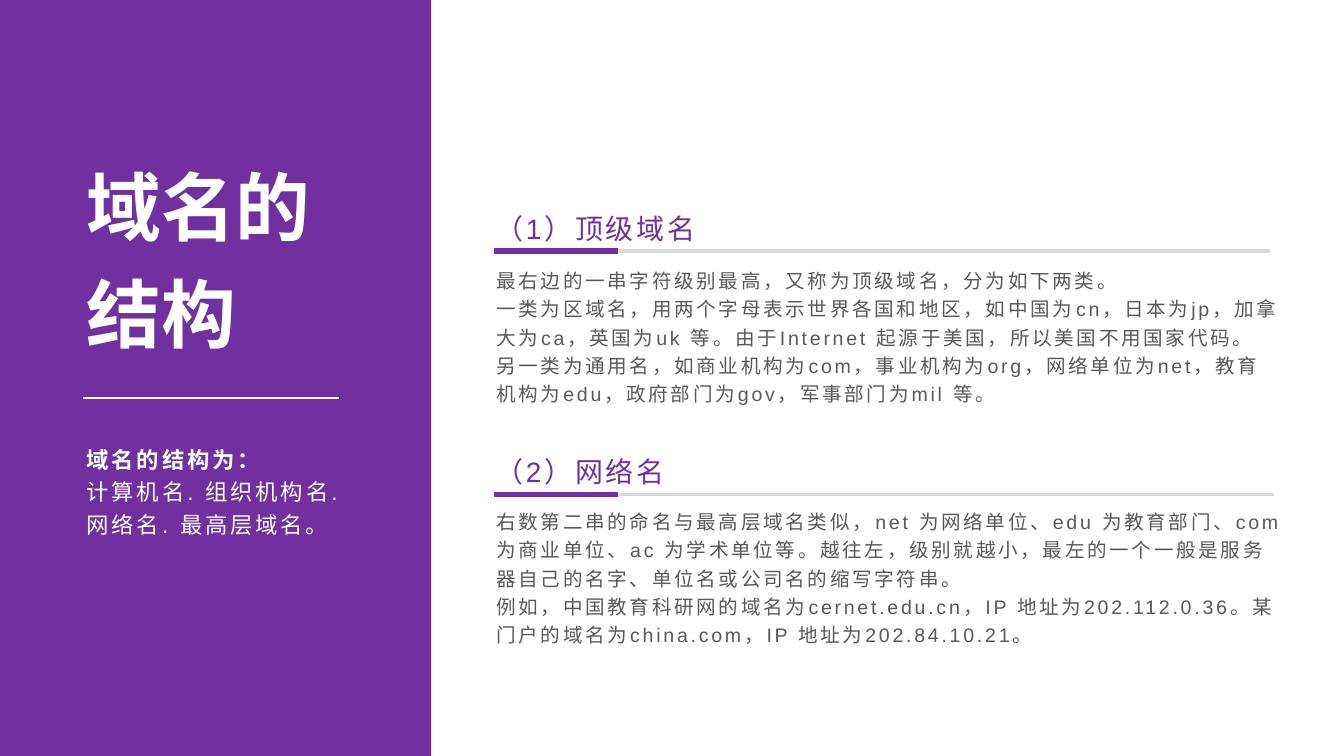
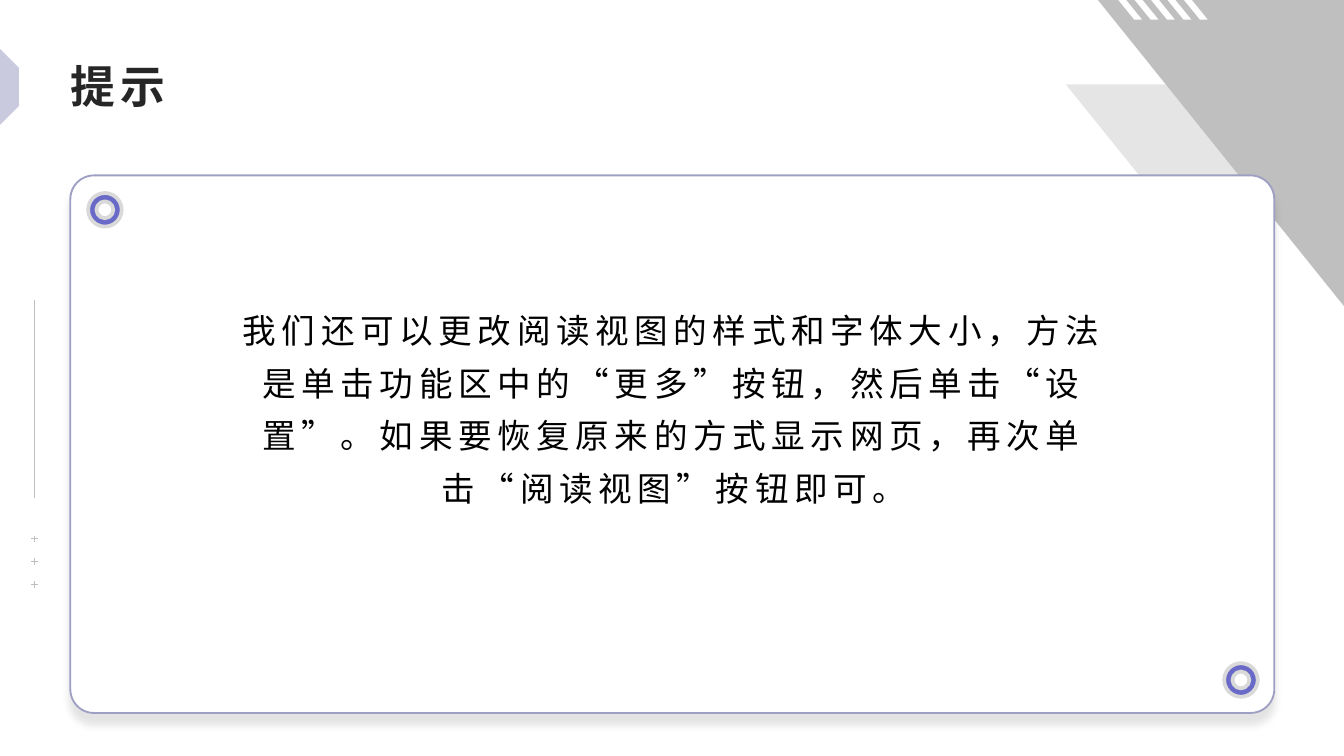
from lxml.etree import SubElement
from pptx import Presentation
from pptx.dml.color import RGBColor
from pptx.enum.shapes import MSO_CONNECTOR as Connector, MSO_SHAPE as Shape
from pptx.enum.text import MSO_ANCHOR as Anchor, MSO_AUTO_SIZE as AutoSize, PP_ALIGN as Align
from pptx.oxml.ns import qn
from pptx.util import Pt

PURPLE, WHITE, BODY_GREY = "7030A0", "FFFFFF", "595959"
RULE_GREY, DECOR_GREY = "D9D9D9", "BFBFBF"
LAVENDER, VIOLET, PALE_LAVENDER = "9F9FC3", "6969C7", "CACADE"
WIDTH, HEIGHT = 720, 405
LATIN_FONT, CJK_FONT = "Arial", "Noto Sans CJK SC"


def color(hex_code):
    """Turn a hex string into a colour."""
    return RGBColor.from_string(hex_code)


def write(frame, text, size=12, font=LATIN_FONT, ink=WHITE, bold=False,
          spacing=0, align=Align.LEFT, leading=1.2):
    """Add one formatted paragraph to a text frame."""
    paragraph = frame.paragraphs[0]
    if paragraph.runs:
        paragraph = frame.add_paragraph()
    paragraph.alignment = align
    paragraph.line_spacing = leading
    run = paragraph.add_run()
    run.text = text
    run.font.size = Pt(size)
    run.font.bold = bold
    run.font.name = font
    run.font.color.rgb = color(ink)
    properties = run.font._element
    SubElement(properties, qn("a:ea")).set("typeface", font)
    if spacing:
        properties.set("spc", str(round(spacing * 100)))


class Deck:
    """Hold the presentation style and the current slide."""

    def __init__(self):
        """Start an empty deck."""
        self.presentation = Presentation()
        self.presentation.slide_width = Pt(WIDTH)
        self.presentation.slide_height = Pt(HEIGHT)
        self.shapes = None

    def new_slide(self):
        """Add a blank white slide and make it current."""
        slide = self.presentation.slides.add_slide(self.presentation.slide_layouts[6])
        slide.background.fill.solid()
        slide.background.fill.fore_color.rgb = color(WHITE)
        self.shapes = slide.shapes

    def paint(self, shape, fill, line=None, weight=1):
        """Give a shape its fill and outline, without shadow."""
        shape.fill.solid()
        shape.fill.fore_color.rgb = color(fill)
        if line:
            shape.line.color.rgb = color(line)
            shape.line.width = Pt(weight)
        else:
            shape.line.fill.background()
        shape.shadow.inherit = False
        return shape

    def shape(self, kind, left, top, width, height, fill, line=None, weight=1):
        """Draw a preset shape."""
        shape = self.shapes.add_shape(kind, Pt(left), Pt(top), Pt(width), Pt(height))
        return self.paint(shape, fill, line, weight)

    def outline(self, points, fill, opacity=100):
        """Draw a closed polygon."""
        corners = [(Pt(x), Pt(y)) for x, y in points]
        builder = self.shapes.build_freeform(*corners[0])
        builder.add_line_segments(corners[1:], close=True)
        polygon = self.paint(builder.convert_to_shape(), fill)
        if opacity < 100:
            tint = polygon._element.spPr.find(f"{qn('a:solidFill')}/{qn('a:srgbClr')}")
            SubElement(tint, qn("a:alpha")).set("val", str(opacity * 1000))

    def line(self, x1, y1, x2, y2, ink, weight):
        """Draw a straight line."""
        line = self.shapes.add_connector(Connector.STRAIGHT, Pt(x1), Pt(y1), Pt(x2), Pt(y2))
        line.line.color.rgb = color(ink)
        line.line.width = Pt(weight)
        SubElement(line._element.spPr, qn("a:effectLst"))

    def text(self, left, top, width, height, *paragraphs, insets=(7.2, 3.6, 7.2, 3.6),
             anchor=Anchor.TOP, grow=True, **style):
        """Place a wrapped text box and return its frame."""
        frame = self.shapes.add_textbox(Pt(left), Pt(top), Pt(width), Pt(height)).text_frame
        frame.word_wrap = True
        frame.auto_size = AutoSize.SHAPE_TO_FIT_TEXT if grow else AutoSize.NONE
        frame.vertical_anchor = anchor
        (frame.margin_left, frame.margin_top,
         frame.margin_right, frame.margin_bottom) = map(Pt, insets)
        for paragraph in paragraphs:
            write(frame, paragraph, **style)
        return frame

    def soft_shadow(self, shape, opacity, blur, distance):
        """Cast a soft shadow straight down."""
        effects = shape._element.spPr.find(qn("a:effectLst"))
        shadow = SubElement(effects, qn("a:outerShdw"), blurRad=str(Pt(blur)),
                            dist=str(Pt(distance)), dir="5400000", algn="t", rotWithShape="0")
        tint = SubElement(shadow, qn("a:srgbClr"), val="000000")
        SubElement(tint, qn("a:alpha"), val=str(opacity * 1000))

    def section(self, rule_y, rule_end, body_top, heading, *body):
        """Draw a heading, its two-tone rule and the body text."""
        self.text(262.4, rule_y - 28.2, 150, 28.2, heading, insets=(2.9,) * 4,
                  anchor=Anchor.MIDDLE, size=15, ink=PURPLE, spacing=1.5)
        self.line(264.5, rule_y, rule_end, rule_y, RULE_GREY, 2)
        self.line(264.5, rule_y, 331, rule_y, PURPLE, 3)
        self.text(258.9, body_top, 434.5, 83.5, *body, size=10.5, ink=BODY_GREY, spacing=1.5)


def domain_slide(deck):
    """Explain how a domain name is built."""
    deck.new_slide()
    deck.shape(Shape.RECTANGLE, 0, 0, 231, HEIGHT, PURPLE)
    panel = dict(insets=(1.8,) * 4, anchor=Anchor.MIDDLE)
    deck.text(44.6, 74.2, 142, 119.5, "域名的", "结构", size=40, bold=True,
              align=Align.JUSTIFY, **panel)
    deck.line(44.6, 213.2, 181.8, 213.2, "F5FBFD", 1.25)
    structure = deck.text(44.6, 234.4, 155.5, 55.4, **panel)
    write(structure, "域名的结构为：", bold=True, spacing=1.5)
    write(structure, "计算机名. 组织机构名. 网络名. 最高层域名。", spacing=1.5)
    deck.section(
        134.5, 680.4, 138.2, "（1）顶级域名",
        "最右边的一串字符级别最高，又称为顶级域名，分为如下两类。",
        "一类为区域名，用两个字母表示世界各国和地区，如中国为cn，日本为jp，加拿大为ca，"
        "英国为uk 等。由于Internet 起源于美国，所以美国不用国家代码。",
        "另一类为通用名，如商业机构为com，事业机构为org，网络单位为net，教育机构为edu，"
        "政府部门为gov，军事部门为mil 等。")
    deck.section(
        265, 682.6, 267.3, "（2）网络名",
        "右数第二串的命名与最高层域名类似，net 为网络单位、edu 为教育部门、com 为商业单位、"
        "ac 为学术单位等。越往左，级别就越小，最左的一个一般是服务器自己的名字、"
        "单位名或公司名的缩写字符串。",
        "例如，中国教育科研网的域名为cernet.edu.cn，IP 地址为202.112.0.36。"
        "某门户的域名为china.com，IP 地址为202.84.10.21。")


def corner_decoration(deck):
    """Draw the grey corner with its hatch of white stripes."""
    deck.outline([(WIDTH, 45.2), (WIDTH, 116.6), (628.6, 116.6), (571, 45.2)], DECOR_GREY, 40)
    hatch = []
    for stripe in range(5):
        x = 599 + 8.8 * stripe
        hatch += [(x, 0), (x + 8.6, 10.6), (x + 13, 10.6), (x + 4.4, 0)]
    deck.outline([(588.2, 0), *hatch, (WIDTH, 0), (WIDTH, 164)], DECOR_GREY)


def margin_decoration(deck):
    """Draw the thin line and the plus signs in the left margin."""
    x, arm = 18.5, 1.8
    deck.line(x, 160.7, x, 266.8, DECOR_GREY, 0.5)
    for plus in range(3):
        y = 288.7 + 12.3 * plus
        deck.line(x, y - arm, x, y + arm, DECOR_GREY, 0.5)
        deck.line(x - arm, y, x + arm, y, DECOR_GREY, 0.5)


def tip_slide(deck):
    """Show the tip on a rounded card."""
    deck.new_slide()
    corner_decoration(deck)
    margin_decoration(deck)
    card = deck.shape(Shape.ROUNDED_RECTANGLE, 37.7, 94, 645, 288, WHITE, LAVENDER)
    card.adjustments[0] = 0.044
    deck.soft_shadow(card, 11, 4, 6)
    for left, top in ((655.8, 355.3), (47.2, 103.4)):
        deck.shape(Shape.DONUT, left, top, 18, 18, VIOLET, RULE_GREY, 2)
    deck.text(31.7, 29.5, 634.3, 33.8, "提示", insets=(5.8, 2.2, 4.3, 2.2), grow=False,
              size=24, font=CJK_FONT, ink="262626", bold=True, spacing=3, leading=1)
    marker = deck.shape(Shape.DIAGONAL_STRIPE, -14.4, 32.2, 28.8, 28.8, PALE_LAVENDER)
    marker.rotation = 135
    deck.text(121, 159.8, 478, 139.7,
              "我们还可以更改阅读视图的样式和字体大小，方法是单击功能区中的“更多”按钮，"
              "然后单击“设置”。如果要恢复原来的方式显示网页，再次单击“阅读视图”按钮即可。",
              insets=(5.8, 0, 3.6, 0), grow=False, size=18, font=CJK_FONT, ink="000000",
              spacing=3, align=Align.CENTER, leading=1.3)


def main():
    """Build and save the deck."""
    deck = Deck()
    domain_slide(deck)
    tip_slide(deck)
    deck.presentation.save("out.pptx")


if __name__ == "__main__":
    main()
